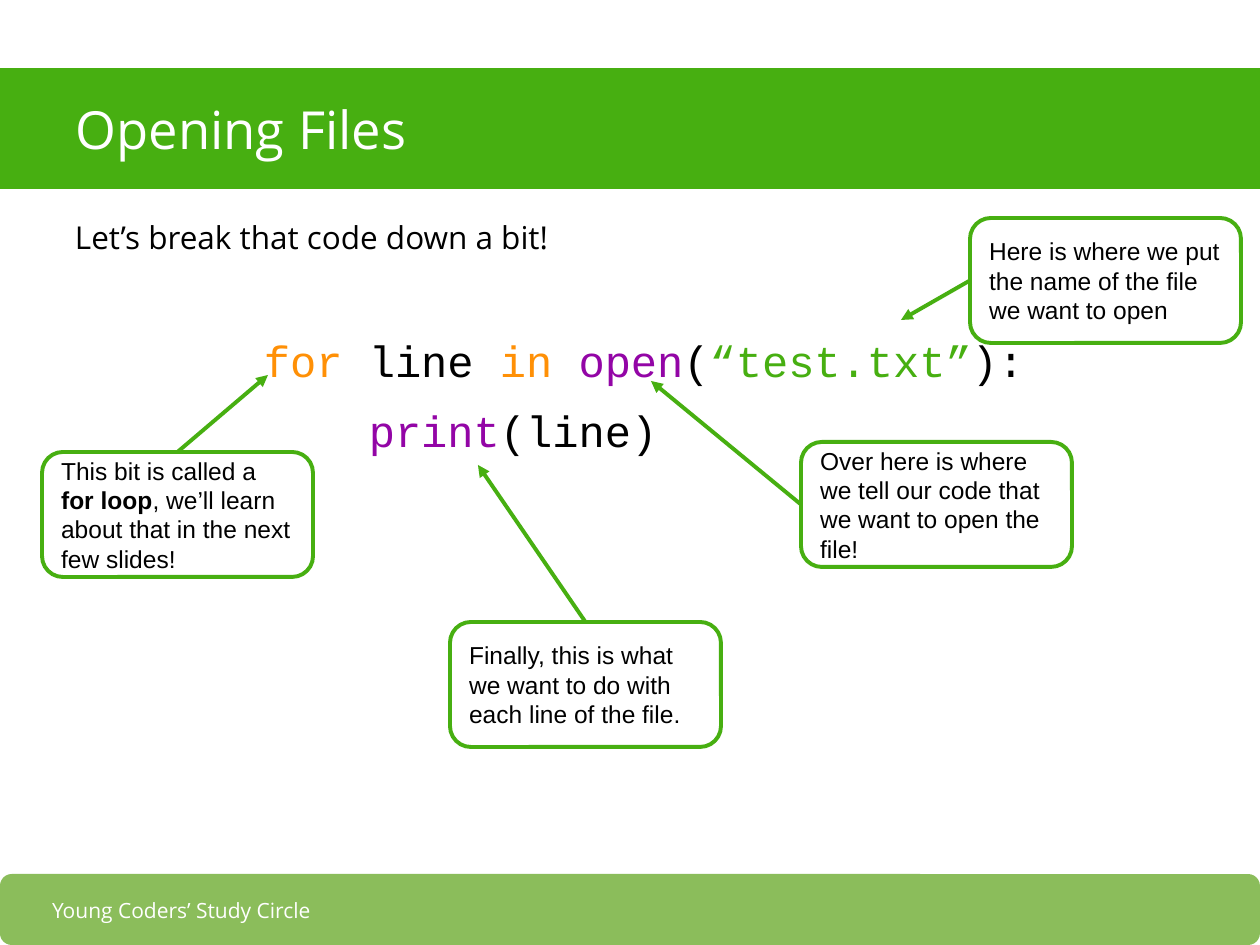
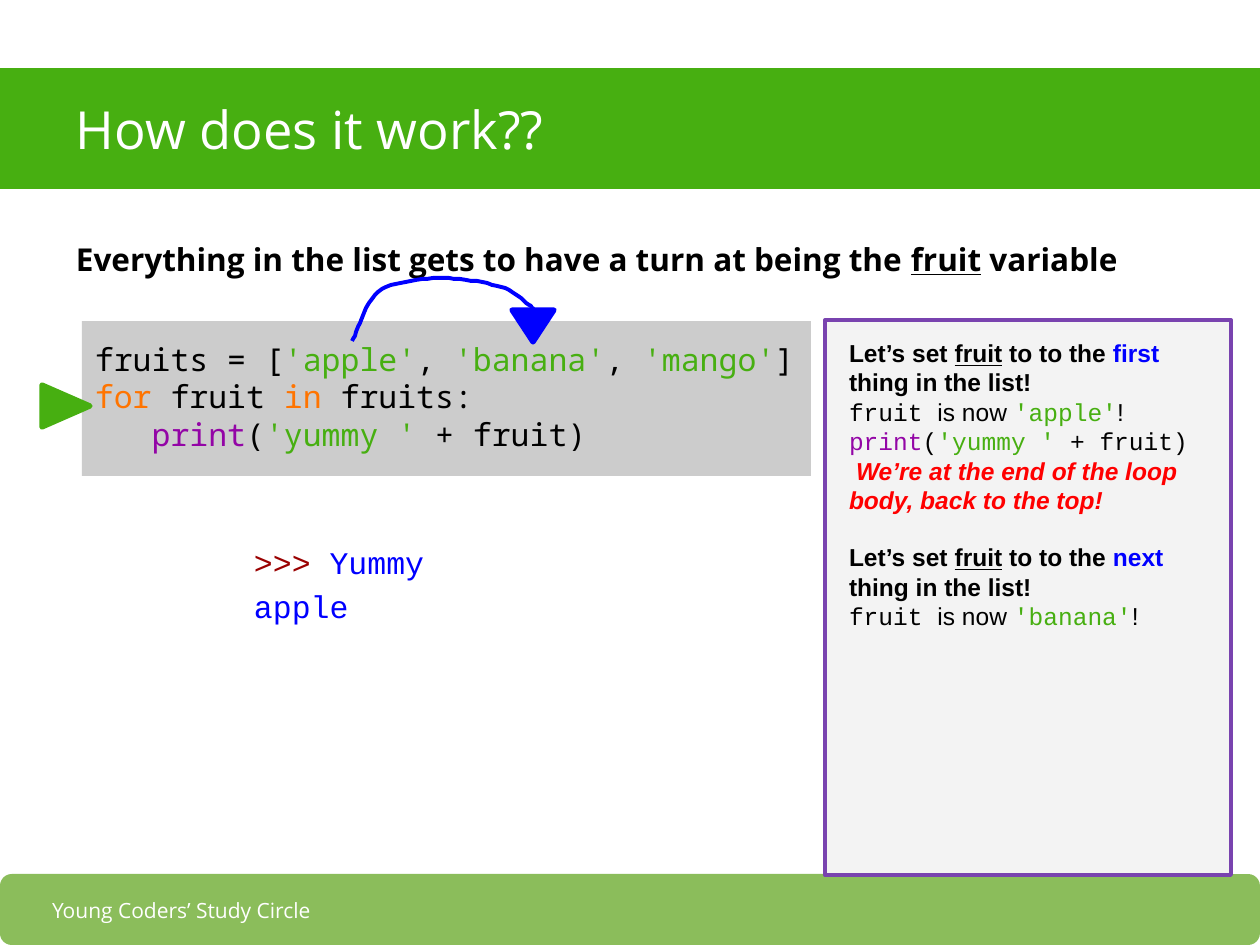
"""Build two slides that explain opening files and for loops."""
from lxml import etree
from pptx import Presentation
from pptx.dml.color import RGBColor
from pptx.enum.shapes import MSO_CONNECTOR, MSO_SHAPE
from pptx.enum.text import MSO_ANCHOR, PP_ALIGN
from pptx.oxml.ns import qn
from pptx.util import Emu, Pt

RECTANGLE, ROUNDED = MSO_SHAPE.RECTANGLE, MSO_SHAPE.ROUNDED_RECTANGLE
TRIANGLE = MSO_SHAPE.ISOSCELES_TRIANGLE
STRAIGHT = MSO_CONNECTOR.STRAIGHT
TOP, MIDDLE = MSO_ANCHOR.TOP, MSO_ANCHOR.MIDDLE
LEFT, CENTER = PP_ALIGN.LEFT, PP_ALIGN.CENTER

PX = 914400 / 126
WIDTH, HEIGHT = 1260, 945
INSET = 13
GREEN, LIGHT_GREEN, WHITE, BLACK = "47AF11", "8BBD5B", "FFFFFF", "000000"
BLUE, PURPLE, PANEL_EDGE, PANEL = "0000FF", "9305A6", "7943AF", "F3F3F3"
AMBER, ORANGE, RED, DARK_RED, GREY = "FF9006", "FF7400", "FF0000", "9A0000", "CCCCCC"
SANS, ARIAL, COURIER, MONO = "Open Sans", "Arial", "Courier New", "Noto Sans Mono"

FOOTER = "Young Coders’ Study Circle"
BAND = (0, 68, WIDTH, 121)
TITLE = (63, 68, 1134, 121)

OPENING_BODY = [
    {"spans": [("Let’s break that code down a bit!", {})]},
    {"spans": [("for ", {"color": AMBER}), ("line", {}), (" in ", {"color": AMBER}),
               ("open", {"color": PURPLE}), ("(", {}), ("“test.txt”", {"color": GREEN}),
               ("):", {})],
     "size": 25, "font": COURIER, "margin": 189, "before": 40},
    {"spans": [("    ", {}), ("print", {"color": PURPLE}), ("(line)", {})],
     "size": 25, "font": COURIER, "margin": 189, "before": 6},
]

CALLOUT_SIZE = (271, 125)
CALLOUTS = [
    {"at": (42, 452), "side": "top", "tip": (268, 375),
     "spans": [("This bit is called a ", {}), ("for loop", {"bold": True}),
               (", we’ll learn about that in the next few slides!", {})]},
    {"at": (801, 442), "side": "left", "tip": (651, 381),
     "spans": [("Over here is where we tell our code that we want to open the file!", {})]},
    {"at": (970, 218), "side": "left", "tip": (901, 320),
     "spans": [("Here is where we put the name of the file we want to open", {})]},
    {"at": (450, 622), "side": "top", "tip": (478, 465),
     "spans": [("Finally, this is what we want to do with each line of the file.", {})]},
]

TURNS = [{"spans": [("Everything in the list gets to have a turn at being the ", {}),
                    ("fruit", {"underline": True}), (" variable", {})]}]

LOOP_CODE = [
    {"spans": [("fruits = [", {}), ("'apple'", {"color": GREEN}), (", ", {}),
               ("'banana'", {"color": GREEN}), (", ", {}),
               ("'mango'", {"color": GREEN}), ("]", {})], "spacing": 1.15},
    {"spans": [("for ", {"color": ORANGE}), ("fruit ", {}), ("in ", {"color": ORANGE}),
               ("fruits:", {})]},
    {"spans": [("   ", {}), ("print", {"color": PURPLE}), ("(", {}),
               ("'yummy '", {"color": GREEN}), (" + fruit)", {})]},
]

OUTPUT = [{"spans": [(">>> ", {"color": DARK_RED}), ("Yummy apple", {"color": BLUE})]}]


def turn_steps(order, value, before=0):
    """Return the two paragraphs that start one turn of the loop."""
    return [
        {"spans": [("Let’s set ", {}), ("fruit", {"underline": True}), (" to to the ", {}),
                   (order + " ", {"color": BLUE}), ("thing in the list!", {})],
         "bold": True, "before": before},
        {"spans": [("fruit ", {"font": COURIER}), ("is now ", {}),
                   (value, {"font": COURIER, "color": GREEN}), ("!", {})]},
    ]


STEPS = [
    *turn_steps("first", "'apple'"),
    {"spans": [("print", {"color": PURPLE}), ("(", {}), ("'yummy '", {"color": GREEN}),
               (" + fruit)", {})], "font": COURIER},
    {"spans": [("We’re at the end of the loop body, back to the top!", {})],
     "color": RED, "bold": True, "italic": True, "indent": 7},
    *turn_steps("next", "'banana'", before=16),
]

HOP_START = (352, 341)
HOP_CURVES = [
    ((357, 334), (364, 302), (378, 292)),
    ((393, 281), (417, 280), (438, 278)),
    ((459, 278), (485, 282), (501, 287)),
    ((517, 292), (528, 305), (534, 309)),
]


def px(*lengths):
    """Turn pixel lengths into EMU."""
    return [Emu(round(length * PX)) for length in lengths]


def rgb(color):
    """Turn a hex string into a colour."""
    return RGBColor.from_string(color)


def outline(shape, color, width):
    """Give a shape or connector a solid line."""
    shape.line.color.rgb = rgb(color)
    shape.line.width = Pt(width)


def add_block(page, kind, area, fill, line=None, width=2.25, rotation=0):
    """Add a flat preset shape."""
    shape = page.shapes.add_shape(kind, *px(*area))
    shape.shadow.inherit = False
    shape.fill.solid()
    shape.fill.fore_color.rgb = rgb(fill)
    shape.rotation = rotation
    if line:
        outline(shape, line, width)
    else:
        shape.line.fill.background()
    return shape


def write(box, paragraphs, anchor=TOP, align=LEFT, spacing=1.0, **base):
    """Fill a box with paragraphs, each span adding to the shared format."""
    frame = box.text_frame
    frame.word_wrap = True
    frame.vertical_anchor = anchor
    frame.margin_left, frame.margin_top, frame.margin_right, frame.margin_bottom = px(*[INSET] * 4)
    for index, content in enumerate(paragraphs):
        para = frame.add_paragraph() if index else frame.paragraphs[0]
        para.alignment = align
        para.line_spacing = content.get("spacing", spacing)
        para.space_before = Pt(content.get("before", 0))
        margin, indent = px(content.get("margin", 0), content.get("indent", 0))
        properties = para._p.get_or_add_pPr()
        properties.set("marL", str(margin))
        properties.set("indent", str(indent))
        for text, extra in content["spans"]:
            style = {"color": BLACK, **base, **content, **extra}
            span = para.add_run()
            span.text = text
            span.font.name = style["font"]
            span.font.size = Pt(style["size"])
            span.font.color.rgb = rgb(style["color"])
            span.font.bold = style.get("bold", False)
            span.font.italic = style.get("italic", False)
            span.font.underline = style.get("underline", False)


def add_text(page, area, paragraphs, **style):
    """Add a text box and write into it."""
    write(page.shapes.add_textbox(*px(*area)), paragraphs, **style)


def add_page(deck, title):
    """Add a page with footer, green band and title."""
    page = deck.slides.add_slide(deck.slide_layouts[6])
    add_block(page, ROUNDED, (0, 874, WIDTH, 71), LIGHT_GREEN)
    add_text(page, (0, 886, 363, 48), [{"spans": [(FOOTER, {})]}], anchor=MIDDLE,
             align=CENTER, font=SANS, size=12, color=WHITE)
    add_block(page, RECTANGLE, BAND, GREEN)
    add_text(page, TITLE, [{"spans": [(title, {})]}], anchor=MIDDLE,
             font=SANS, size=30, color=WHITE)
    return page


def add_arrow(page, start, tip):
    """Add a green line that ends in an arrowhead."""
    arrow = page.shapes.add_connector(STRAIGHT, *px(*start, *tip))
    outline(arrow, GREEN, 2.25)
    etree.SubElement(arrow.line._get_or_add_ln(), qn("a:tailEnd"), type="triangle")
    etree.SubElement(arrow._element.spPr, qn("a:effectLst"))


def curve_points(start, curves, steps=12):
    """Return points along a chain of cubic curves."""
    points = []
    for first, second, end in curves:
        for step in range(1, steps + 1):
            t = step / steps
            u = 1 - t
            points.append(tuple(
                u**3 * a + 3 * u * u * t * b + 3 * u * t * t * c + t**3 * d
                for a, b, c, d in zip(start, first, second, end)))
        start = end
    return points


def add_hop(page):
    """Add the curve that leads from one list item to the next."""
    builder = page.shapes.build_freeform(*HOP_START, scale=PX)
    scaled = curve_points(HOP_START, HOP_CURVES)
    builder.add_line_segments(scaled, close=False)
    hop = builder.convert_to_shape()
    hop.shadow.inherit = False
    hop.fill.background()
    outline(hop, BLUE, 2.25)


def build_opening(deck):
    """Build the page on opening files."""
    page = add_page(deck, "Opening Files")
    add_text(page, (62, 199, 1134, 664), OPENING_BODY, spacing=1.15, font=SANS, size=18)
    width, height = CALLOUT_SIZE
    for callout in CALLOUTS:
        box = add_block(page, ROUNDED, (*callout["at"], width, height), WHITE, GREEN)
        write(box, [{"spans": callout["spans"]}], anchor=MIDDLE, font=ARIAL, size=14)
    for callout in CALLOUTS:
        left, top = callout["at"]
        starts = {"top": (left + width / 2, top), "left": (left, top + height / 2)}
        add_arrow(page, starts[callout["side"]], callout["tip"])


def build_loop(deck):
    """Build the page on how the loop works."""
    page = add_page(deck, "How does it work??")
    add_block(page, RECTANGLE, (825, 320, 406, 555), PANEL, PANEL_EDGE)
    add_text(page, (63, 221, 1134, 121), TURNS, spacing=1.15, font=SANS, size=18, bold=True)
    code = add_block(page, RECTANGLE, (82, 321, 729, 155), GREY)
    write(code, LOOP_CODE, font=MONO, size=18)
    add_text(page, (836, 325, 395, 532), STEPS, font=ARIAL, size=14)
    add_block(page, TRIANGLE, (45, 382, 42, 48), GREEN, GREEN, width=3, rotation=90)
    add_block(page, TRIANGLE, (512, 310, 42, 32), BLUE, BLUE, width=3, rotation=180)
    add_text(page, (241, 510, 306, 142), OUTPUT, anchor=MIDDLE, spacing=1.15,
             font=COURIER, size=18)
    add_hop(page)


def main():
    """Build and save the deck."""
    deck = Presentation()
    deck.slide_width, deck.slide_height = px(WIDTH, HEIGHT)
    build_opening(deck)
    build_loop(deck)
    deck.save("out.pptx")


if __name__ == "__main__":
    main()
